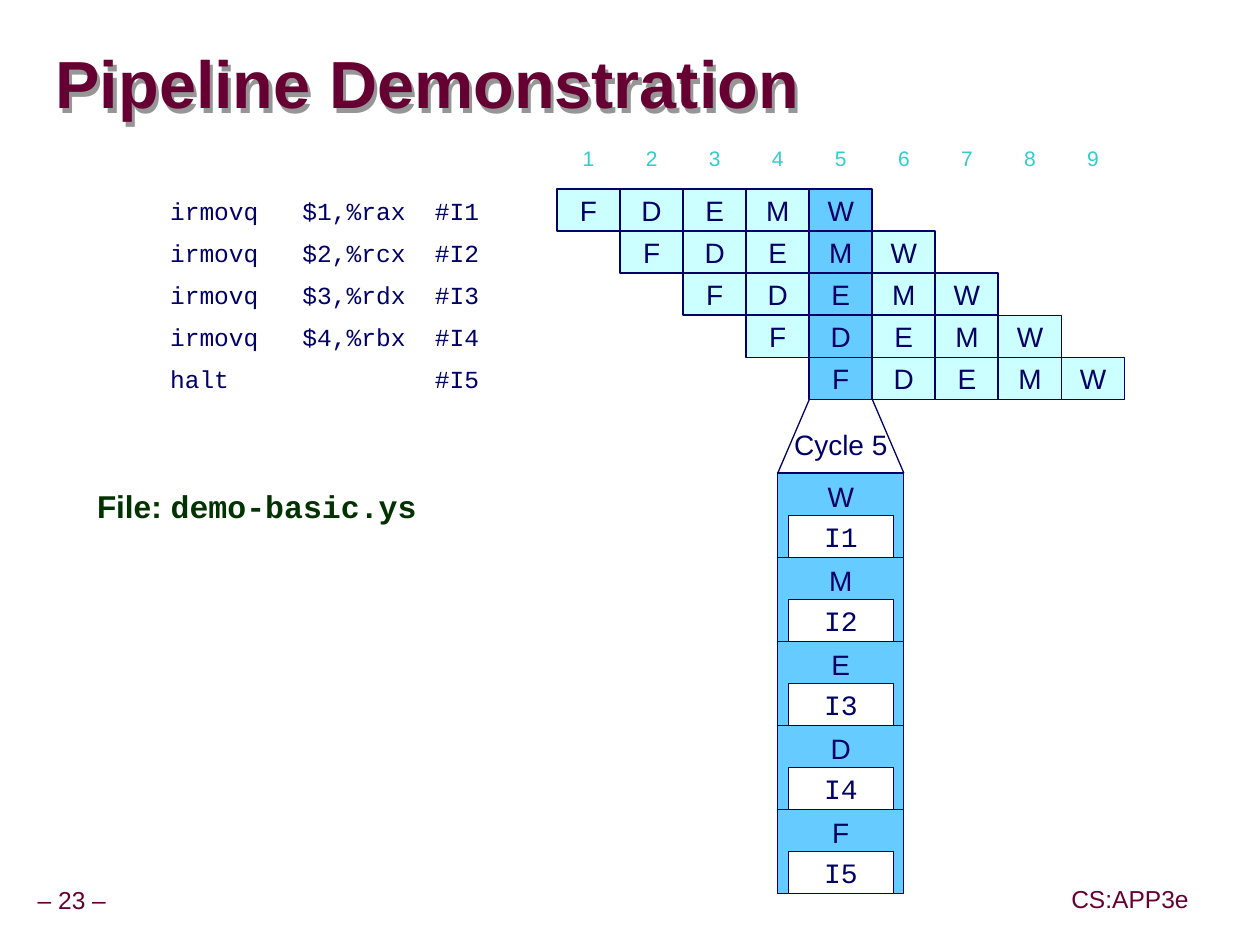
from lxml import etree
from pptx import Presentation
from pptx.dml.color import RGBColor
from pptx.enum.shapes import MSO_CONNECTOR, MSO_SHAPE
from pptx.enum.text import MSO_ANCHOR, MSO_AUTO_SIZE, PP_ALIGN
from pptx.oxml.ns import qn
from pptx.util import Pt

RECTANGLE = MSO_SHAPE.RECTANGLE
STRAIGHT = MSO_CONNECTOR.STRAIGHT
TOP, MIDDLE = MSO_ANCHOR.TOP, MSO_ANCHOR.MIDDLE
LEFT, CENTER = PP_ALIGN.LEFT, PP_ALIGN.CENTER
NO_AUTOFIT = MSO_AUTO_SIZE.NONE

COLORS = {
    "maroon": "660033",
    "green": "003300",
    "navy": "000066",
    "teal": "33CCCC",
    "stage": "CCFFFF",
    "current": "66CCFF",
    "white": "FFFFFF",
    "shadow": "969696",
}
SANS, MONO = "Arial", "Courier New"

STAGES = "FDEMW"
CYCLES = 9
CURRENT_CYCLE = 5
PROGRAM = [
    "irmovq\t$1,%rax\t#I1",
    "irmovq\t$2,%rcx\t#I2",
    "irmovq\t$3,%rdx\t#I3",
    "irmovq\t$4,%rbx\t#I4",
    "halt\t\t#I5",
]
CODE_TABS = (75.6, 151.2)

GRID_LEFT, GRID_TOP = 318, 108
CELL_W, CELL_H = 36, 24
DETAIL_LEFT, DETAIL_TOP = 444, 270
DETAIL_W, DETAIL_H = 72, 48


def style_run(run, size, color, font=SANS, bold=False):
    run.font.size = Pt(size)
    run.font.name = font
    run.font.bold = bold
    run.font.color.rgb = RGBColor.from_string(COLORS[color])


def add_label(text, left, top, width, height, size=16, color="navy", font=SANS,
              fill=None, line_width=1, align=CENTER, anchor=MIDDLE):
    """Add one line of text, in an outlined rectangle when a fill is named."""
    box = [Pt(length) for length in (left, top, width, height)]
    if fill:
        label = slide.shapes.add_shape(RECTANGLE, *box)
        label.shadow.inherit = False
        label.fill.solid()
        label.fill.fore_color.rgb = RGBColor.from_string(COLORS[fill])
        label.line.color.rgb = RGBColor.from_string(COLORS["navy"])
        label.line.width = Pt(line_width)
    else:
        label = slide.shapes.add_textbox(*box)
    frame = label.text_frame
    frame.word_wrap = False
    frame.vertical_anchor = anchor
    frame.text = text
    frame.paragraphs[0].alignment = align
    style_run(frame.paragraphs[0].runs[0], size, color, font)
    return label


prs = Presentation()
prs.slide_width, prs.slide_height = Pt(719.28), Pt(539.28)
slide = prs.slides.add_slide(prs.slide_layouts[1])
title, file_note = slide.placeholders

# Title; the box has no fill, so its shadow falls from the letters
title.left, title.top, title.width, title.height = Pt(31.7), Pt(19.4), Pt(685.4), Pt(61.2)
heading = title.text_frame
heading.text = "Pipeline Demonstration"
heading.auto_size = NO_AUTOFIT
heading.vertical_anchor = MIDDLE
heading.margin_left = heading.margin_right = heading.margin_top = heading.margin_bottom = 0
heading.paragraphs[0].alignment = LEFT
heading.paragraphs[0].line_spacing = 0.87
style_run(heading.paragraphs[0].runs[0], 38, "maroon", bold=True)
title.fill.background()
title_effects = etree.SubElement(title._element.spPr, qn("a:effectLst"))
title_shadow = etree.SubElement(
    title_effects, qn("a:outerShdw"), dist=str(Pt(3.6)), dir="3600000")
etree.SubElement(title_shadow, qn("a:srgbClr"), val=COLORS["shadow"])

# File name
file_note.left, file_note.top, file_note.width, file_note.height = (
    Pt(48.2), Pt(275.8), Pt(239.8), Pt(41.8))
file_frame = file_note.text_frame
file_frame.auto_size = NO_AUTOFIT
file_line = file_frame.paragraphs[0]
file_line.line_spacing = 0.95
file_line.space_before = Pt(0)
for text, font in (("File: ", SANS), ("demo-basic.ys", MONO)):
    run = file_line.add_run()
    run.text = text
    style_run(run, 18, "green", font, bold=True)
file_props = file_line._p.get_or_add_pPr()
file_props.set("marL", str(Pt(30)))
file_props.set("indent", str(-Pt(30)))
etree.SubElement(file_props, qn("a:buNone"))

# Cycle numbers
for cycle in range(CYCLES):
    add_label(str(cycle + 1), GRID_LEFT + cycle * CELL_W, 78, CELL_W, CELL_H, 12, "teal")

# Program and its pipeline stages
for row, instruction in enumerate(PROGRAM):
    row_top = GRID_TOP + row * CELL_H
    code = add_label(instruction, 90, row_top, 204, CELL_H, 14, font=MONO, align=LEFT)
    code.text_frame.word_wrap = True
    code_props = code.text_frame.paragraphs[0]._p.get_or_add_pPr()
    tab_list = etree.SubElement(code_props, qn("a:tabLst"))
    for position in CODE_TABS:
        etree.SubElement(tab_list, qn("a:tab"), pos=str(Pt(position)), algn="l")
    for step, stage in enumerate(STAGES):
        column = row + step
        fill = "current" if column + 1 == CURRENT_CYCLE else "stage"
        add_label(stage, GRID_LEFT + column * CELL_W, row_top, CELL_W, CELL_H, fill=fill)

# Zoom from the current cycle to its detail
zoom_left = GRID_LEFT + (CURRENT_CYCLE - 1) * CELL_W
zoom_top = GRID_TOP + len(PROGRAM) * CELL_H
for start, end in ((zoom_left, DETAIL_LEFT),
                   (zoom_left + CELL_W, DETAIL_LEFT + DETAIL_W)):
    zoom_edge = slide.shapes.add_connector(
        STRAIGHT, Pt(start), Pt(zoom_top), Pt(end), Pt(DETAIL_TOP))
    zoom_edge.line.color.rgb = RGBColor.from_string(COLORS["navy"])
    zoom_edge.line.width = Pt(0.75)
    etree.SubElement(zoom_edge._element.spPr, qn("a:effectLst"))
add_label(f"Cycle {CURRENT_CYCLE}", DETAIL_LEFT, 240, DETAIL_W, 26.6)

for index, stage in enumerate(reversed(STAGES)):
    stage_top = DETAIL_TOP + index * DETAIL_H
    add_label(stage, DETAIL_LEFT, stage_top, DETAIL_W, DETAIL_H,
              fill="current", line_width=0.75, anchor=TOP)
    add_label(f"I{index + 1}", DETAIL_LEFT + 6, stage_top + 24, DETAIL_W - 12, 24,
              font=MONO, fill="white", line_width=0.75)

# Footer
for text, left, top, width in (("– 23 –", 17.3, 503.3, 47.5),
                               ("CS:APP3e", 607.7, 502.6, 74.9)):
    footer = add_label(text, left, top, width, 22.7, 14, "maroon").text_frame
    footer.margin_left = footer.margin_right = 0
    footer.paragraphs[0].line_spacing = 0.9

prs.save("out.pptx")
